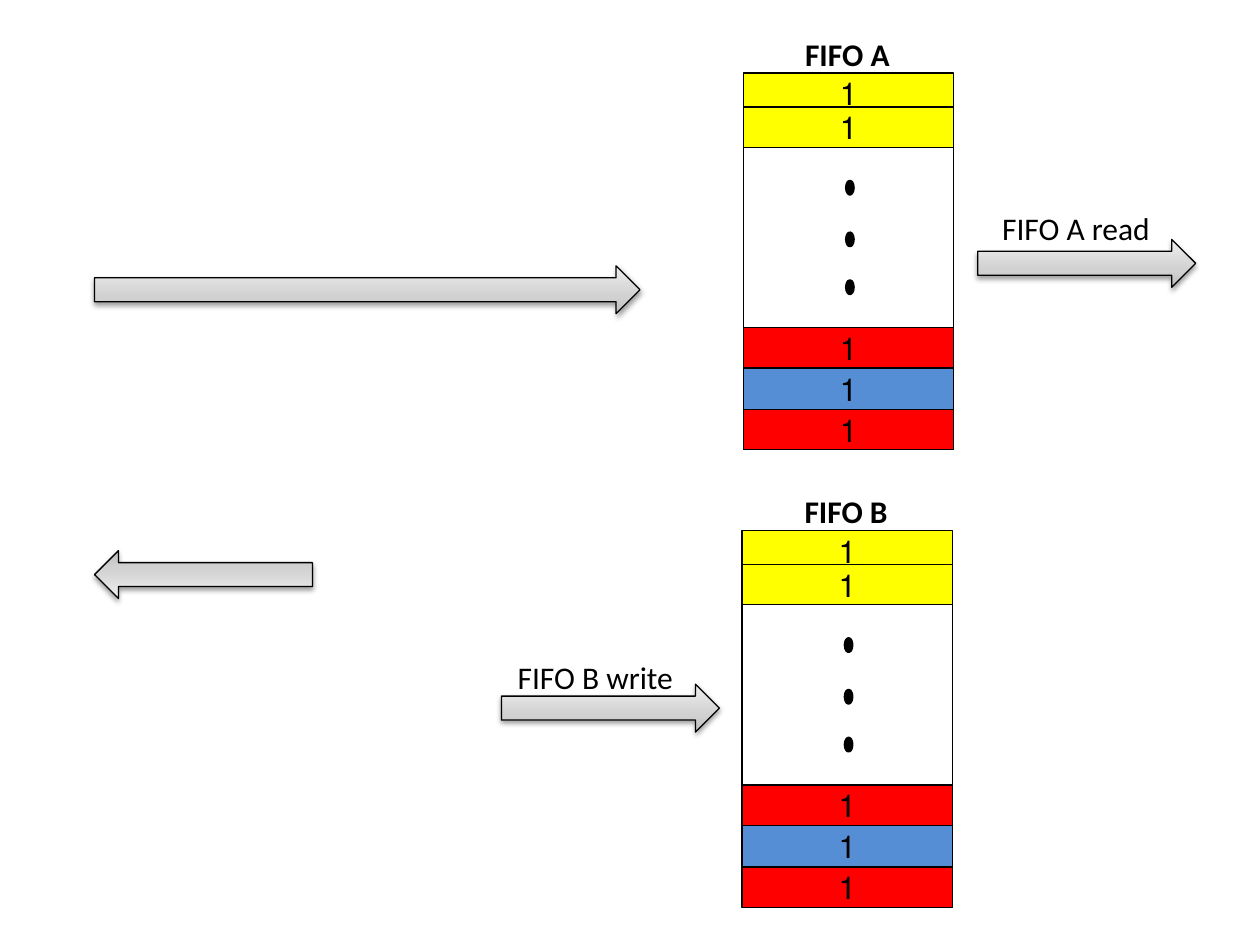
import pptx
import pptx.util
import pptx.dml.color
import pptx.enum.dml
import pptx.enum.shapes
import pptx.enum.text
import pptx.oxml
import pptx.oxml.ns
import lxml.etree

Inches = pptx.util.Inches
Pt = pptx.util.Pt
Kind = pptx.enum.shapes.MSO_SHAPE
Text = pptx.enum.text
qn = pptx.oxml.ns.qn

THEME = {
    "ink": "000000", "red": "FF0000", "blue": "558ED5", "gold": "FFFF00",
    "grade": [(0, "BDBDBD"), (35, "D1D1D1"), (100, "EEEEEE")],
    "font": "Calibri", "size": 18, "thin": 0.75, "thick": 2,
}
SHADE = (
    '<a:outerShdw xmlns:a="http://schemas.openxmlformats.org/drawingml/2006/main" '
    'blurRad="39370" dist="20320" dir="5400000" rotWithShape="0">'
    '<a:srgbClr val="000000"><a:alpha val="38000"/></a:srgbClr></a:outerShdw>'
)


def apply(target, **form):
    for name, value in form.items():
        setattr(target, name, value)


def tint(name):
    return pptx.dml.color.RGBColor.from_string(THEME[name])


def stroke(item, width):
    item.line.color.rgb = tint("ink")
    item.line.width = Pt(width)


def write(item, words, bold=False, flip=False):
    para = item.text_frame.paragraphs[0]
    para.alignment = Text.PP_ALIGN.CENTER
    if flip:
        para._p.get_or_add_pPr().set("rtl", "1")
    run = para.add_run()
    run.text = words
    apply(run.font, name=THEME["font"], size=Pt(THEME["size"]), bold=bold)
    run.font.color.rgb = tint("ink")


def shape(parts, kind, box, width=THEME["thin"], fill=None):
    item = parts.add_shape(kind, *map(Inches, box))
    item.shadow.inherit = False
    stroke(item, width)
    if fill:
        item.fill.solid()
        item.fill.fore_color.rgb = tint(fill)
    return item


def label(parts, box, words, bold=False, flip=False):
    item = parts.add_textbox(*map(Inches, box))
    apply(item.text_frame, word_wrap=True,
          auto_size=Text.MSO_AUTO_SIZE.SHAPE_TO_FIT_TEXT)
    write(item, words, bold, flip)


def rule(parts, x, top, end):
    item = parts.add_connector(pptx.enum.shapes.MSO_CONNECTOR.STRAIGHT,
                               *map(Inches, (x, top, x, end)))
    stroke(item, THEME["thin"])
    lxml.etree.SubElement(item._element.spPr, qn("a:effectLst"))


def queue(slide, left, top, words):
    parts = slide.shapes.add_group_shape().shapes
    wide = 1.67
    cells = [(2.02, 0.32, "red"), (0, 0.32, "gold"), (0.27, 0.32, "gold"),
             (2.67, 0.32, "red"), (2.34, 0.33, "blue")]
    for down, high, fill in cells:
        cell = shape(parts, Kind.RECTANGLE, (left, top + down, wide, high), fill=fill)
        cell.text_frame.vertical_anchor = Text.MSO_ANCHOR.MIDDLE
        write(cell, "1", flip=True)
    for x in (left, left + wide):
        rule(parts, x, top + 0.43, top + 2.5)
    for down in (0.86, 1.27, 1.65):
        shape(parts, Kind.OVAL, (left + 0.82, top + down, 0.05, 0.1),
              THEME["thick"], "ink")
    label(parts, (left + 0.24, top - 0.35, 1.17, 0.4), words, True, True)


def arrow(slide, left, top, wide=1.73, turn=0):
    item = shape(slide.shapes, Kind.RIGHT_ARROW, (left, top, wide, 0.38))
    item.rotation = turn
    item.fill.gradient()
    item.fill.gradient_angle = 90
    props = item._element.spPr
    stops = props.find(qn("a:gradFill")).find(qn("a:gsLst"))
    for stop in list(stops):
        stops.remove(stop)
    for place, shade in THEME["grade"]:
        stop = lxml.etree.SubElement(stops, qn("a:gs"), pos=str(place * 1000))
        lxml.etree.SubElement(stop, qn("a:srgbClr"), val=shade)
    props.find(qn("a:effectLst")).append(pptx.oxml.parse_xml(SHADE))


def build():
    deck = pptx.Presentation()
    apply(deck, slide_width=Inches(10), slide_height=Inches(7.5))
    slide = deck.slides.add_slide(deck.slide_layouts[6])
    queue(slide, 5.9, 0.58, "FIFO A")
    queue(slide, 5.89, 4.21, "FIFO B")
    arrow(slide, 7.76, 1.9)
    label(slide.shapes, (7.83, 1.61, 1.42, 0.4), "FIFO A read")
    arrow(slide, 3.98, 5.43)
    label(slide.shapes, (3.9, 5.17, 1.65, 0.4), "FIFO B write")
    arrow(slide, 0.75, 2.11, 4.33)
    arrow(slide, 0.75, 4.37, turn=180)
    deck.save("out.pptx")


build()
